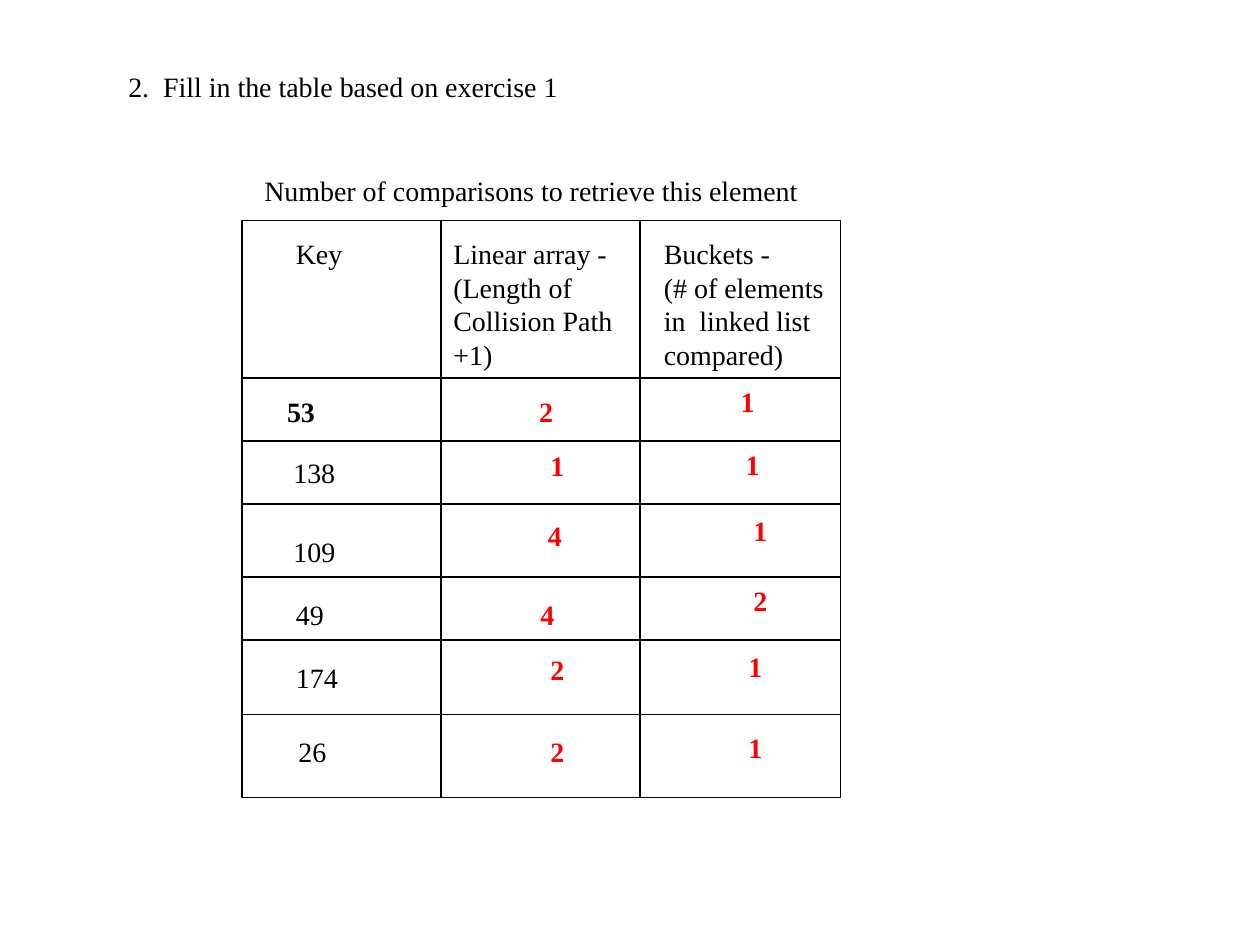
"""Exercise slide: comparisons needed to retrieve each key."""
from lxml import etree
from pptx import Presentation
from pptx.dml.color import RGBColor
from pptx.enum.shapes import MSO_CONNECTOR, MSO_SHAPE
from pptx.oxml.ns import qn
from pptx.util import Inches, Pt

STRAIGHT = MSO_CONNECTOR.STRAIGHT
RECTANGLE = MSO_SHAPE.RECTANGLE
COLORS = {"text": "000000", "answer": "FF0000", "line": "000000"}
FONT = "Times New Roman"


def add_line(x1, y1, x2, y2):
    sp = s.shapes.add_connector(
        STRAIGHT, Inches(x1), Inches(y1), Inches(x2), Inches(y2))
    sp.line.color.rgb = RGBColor.from_string(COLORS["line"])
    sp.line.width = Pt(0.75)
    etree.SubElement(sp._element.spPr, qn("a:effectLst"))


def add_text(text, x, y, w, h=0.37, color="text", bold=False, wrap=False):
    sp = s.shapes.add_textbox(Inches(x), Inches(y), Inches(w), Inches(h))
    tf = sp.text_frame
    tf.word_wrap = wrap
    tf.text = text
    for p in tf.paragraphs:
        p.font.name = FONT
        p.font.size = Pt(16)
        p.font.bold = bold
        p.font.color.rgb = RGBColor.from_string(COLORS[color])
    return tf.paragraphs[0]


prs = Presentation()
prs.slide_width, prs.slide_height = Inches(10), Inches(7.5)
s = prs.slides.add_slide(prs.slide_layouts[6])

left, right, top, bottom = 1.92, 6.67, 1.75, 6.33
sp = s.shapes.add_shape(RECTANGLE, Inches(left), Inches(top),
                        Inches(right - left), Inches(bottom - top))
sp.shadow.inherit = False
sp.fill.background()
sp.line.color.rgb = RGBColor.from_string(COLORS["line"])
sp.line.width = Pt(0.75)
for x, end in [(3.5, bottom), (5.08, bottom), (right, 5.67)]:
    add_line(x, top, x, end)
for y in (3, 3.5, 4, 4.58, 5.08, 5.67):
    add_line(left, y, right, y)

add_text("2.  Fill in the table based on exercise 1", 0.92, 0.5, 3.63)
add_text("Number of comparisons to retrieve this element", 2, 1.33, 4.5)
add_text("Key", 2.25, 1.83, 0.57)
add_text("Linear array -\n(Length of\nCollision Path +1)",
         3.5, 1.83, 1.75, 0.91, wrap=True)
add_text("Buckets -\n(# of elements\nin  linked list\ncompared)",
         5.17, 1.83, 1.51, 1.18)

for text, x, y, w in [("138", 2.23, 3.57, 0.64), ("109", 2.23, 4.19, 1.21),
                      ("174", 2.25, 5.19, 0.54)]:
    add_text(text, x, y, w)

keys_with_linear = [
    ("53", "2", 2.18, 3.08, 2.33, 2, True),
    ("49", "4", 2.25, 4.69, 2.28, 1.94, False),
    ("26", "2", 2.27, 5.78, 2.33, 2, False),
]
for key, count, x, y, w, stop, bold in keys_with_linear:
    p = add_text(f"{key}\t", x, y, w, bold=bold)
    tabs = etree.Element(qn("a:tabLst"))
    etree.SubElement(tabs, qn("a:tab"), pos=str(Inches(stop)), algn="l")
    p._p.get_or_add_pPr().insert(0, tabs)
    r = p.add_run()
    r.text = count
    r.font.bold = True
    r.font.color.rgb = RGBColor.from_string(COLORS["answer"])

answers = [
    ("1", 4.27, 3.51), ("4", 4.25, 4.07), ("2", 4.27, 5.13),
    ("1", 5.78, 3), ("1", 5.82, 3.5), ("1", 5.88, 4.03),
    ("2", 5.88, 4.58), ("1", 5.84, 5.11), ("1", 5.84, 5.75),
]
for text, x, y in answers:
    add_text(text, x, y, 0.31, color="answer", bold=True)

prs.save("out.pptx")
